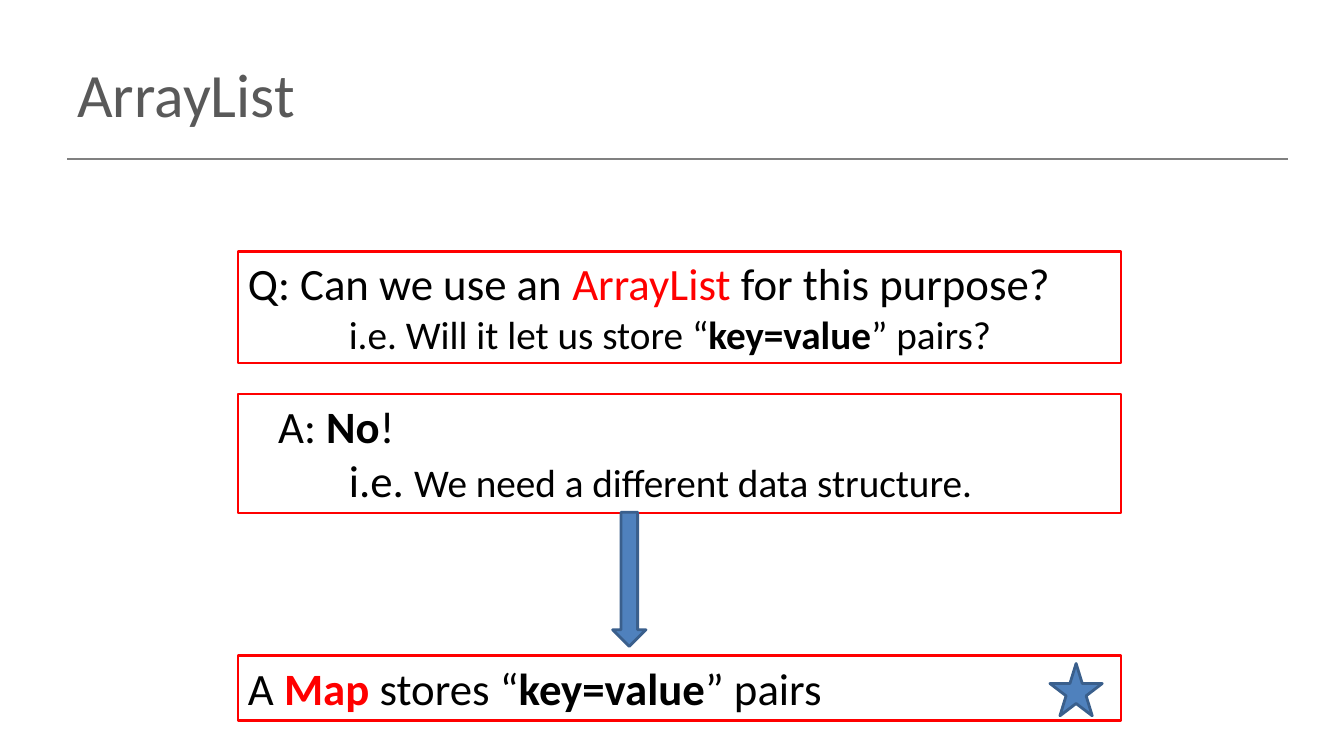
from dataclasses import dataclass

from pptx import Presentation
from pptx import util as u
from pptx.dml.color import RGBColor
from pptx.enum import shapes, text
from pptx.oxml import parse_xml
from pptx.oxml.ns import nsdecls


@dataclass(frozen=True)
class Theme:
    font: str = "Calibri"
    ink: str = "000000"
    gray: str = "595959"
    rule: str = "808080"
    red: str = "FF0000"
    paper: str = "FFFFFF"
    blue: str = "4F81BD"
    edge: str = "3A5F8C"
    head: int = 44
    big: int = 32
    small: int = 28


T = Theme()
SHAPE = shapes.MSO_SHAPE


def color(code):
    return RGBColor.from_string(code)


def paint(shape, fill, line):
    shape.shadow.inherit = False
    shape.fill.solid()
    shape.fill.fore_color.rgb = color(fill)
    shape.line.color.rgb = color(line)
    shape.line.width = u.Pt(2)


def place(slide, kind, left, top, width, height, fill, line):
    shape = slide.shapes.add_shape(
        kind, u.Cm(left), u.Cm(top), u.Cm(width), u.Cm(height))
    paint(shape, fill, line)
    return shape


def header(slide, left, top, width, height, title):
    # Title
    box = slide.shapes.add_textbox(
        u.Cm(left), u.Cm(top), u.Cm(width), u.Cm(height))
    frame = box.text_frame
    frame.word_wrap = True
    frame.vertical_anchor = text.MSO_ANCHOR.MIDDLE
    para = frame.paragraphs[0]
    para.text = title
    para.font.name = T.font
    para.font.size = u.Pt(T.head)
    para.font.color.rgb = color(T.gray)

    # Rule below the title
    level = u.Cm(top + height + 0.07)
    rule = slide.shapes.add_connector(
        shapes.MSO_CONNECTOR.STRAIGHT,
        u.Cm(left), level, u.Cm(left + width + 0.28), level)
    rule.line.color.rgb = color(T.rule)
    rule.line.width = u.Pt(1)
    rule._element.spPr.append(parse_xml(f"<a:effectLst {nsdecls('a')}/>"))


def panel(slide, left, top, width, height, lines):
    """Each line is (indent in cm, size, runs); a run is (words, style)."""
    box = place(slide, SHAPE.RECTANGLE, left, top, width, height,
                T.paper, T.red)
    frame = box.text_frame
    frame.word_wrap = True
    frame.auto_size = text.MSO_AUTO_SIZE.SHAPE_TO_FIT_TEXT
    frame.vertical_anchor = text.MSO_ANCHOR.TOP
    for i, (indent, size, runs) in enumerate(lines):
        para = frame.add_paragraph() if i else frame.paragraphs[0]
        para.alignment = text.PP_ALIGN.LEFT
        para._p.get_or_add_pPr().set("marL", str(u.Cm(indent)))
        para.font.name = T.font
        for words, style in runs:
            run = para.add_run()
            run.text = words
            run.font.size = u.Pt(style.get("size", size))
            run.font.bold = style.get("bold", False)
            run.font.color.rgb = color(style.get("color", T.ink))


def body(slide, left, top, width):
    bold, tab = {"bold": True}, 2.54
    # Question, answer and conclusion: offset, height, lines
    panels = [
        (0, 2.82, [
            (0, T.big, [("Q: Can we use an ", {}),
                        ("ArrayList", {"color": T.red}),
                        (" for this purpose?", {})]),
            (tab, T.small, [("i.e. Will it let us store “", {}),
                            ("key=value", bold), ("” pairs?", {})])]),
        (3.6, 3, [
            (0.76, T.big, [("A: ", {}), ("No", bold), ("!", {})]),
            (tab, T.big, [("i.e. ", {}),
                          ("We need a different data structure.",
                           {"size": T.small})])]),
        (10.19, 1.63, [
            (0, T.big, [("A ", {}), ("Map", {"bold": True, "color": T.red}),
                        (" stores “", {}), ("key=value", bold),
                        ("” pairs", {})])]),
    ]
    for drop, height, lines in panels:
        panel(slide, left, top + drop, width, height, lines)

    # Star on the conclusion, arrow leading down to it
    place(slide, SHAPE.STAR_5_POINT, left + 20.46, top + 10.39, 1.32, 1.32,
          T.blue, T.edge)
    place(slide, SHAPE.DOWN_ARROW, left + 9.44, top + 6.58, 0.84, 3.38,
          T.blue, T.edge)


def main():
    deck = Presentation()
    deck.slide_width, deck.slide_height = u.Cm(33.87), u.Cm(19.05)
    slide = deck.slides.add_slide(deck.slide_layouts[6])
    header(slide, 1.7, 0.76, 30.48, 3.18, "ArrayList")
    body(slide, 6, 6.33, 22.25)
    deck.save("out.pptx")


if __name__ == "__main__":
    main()
